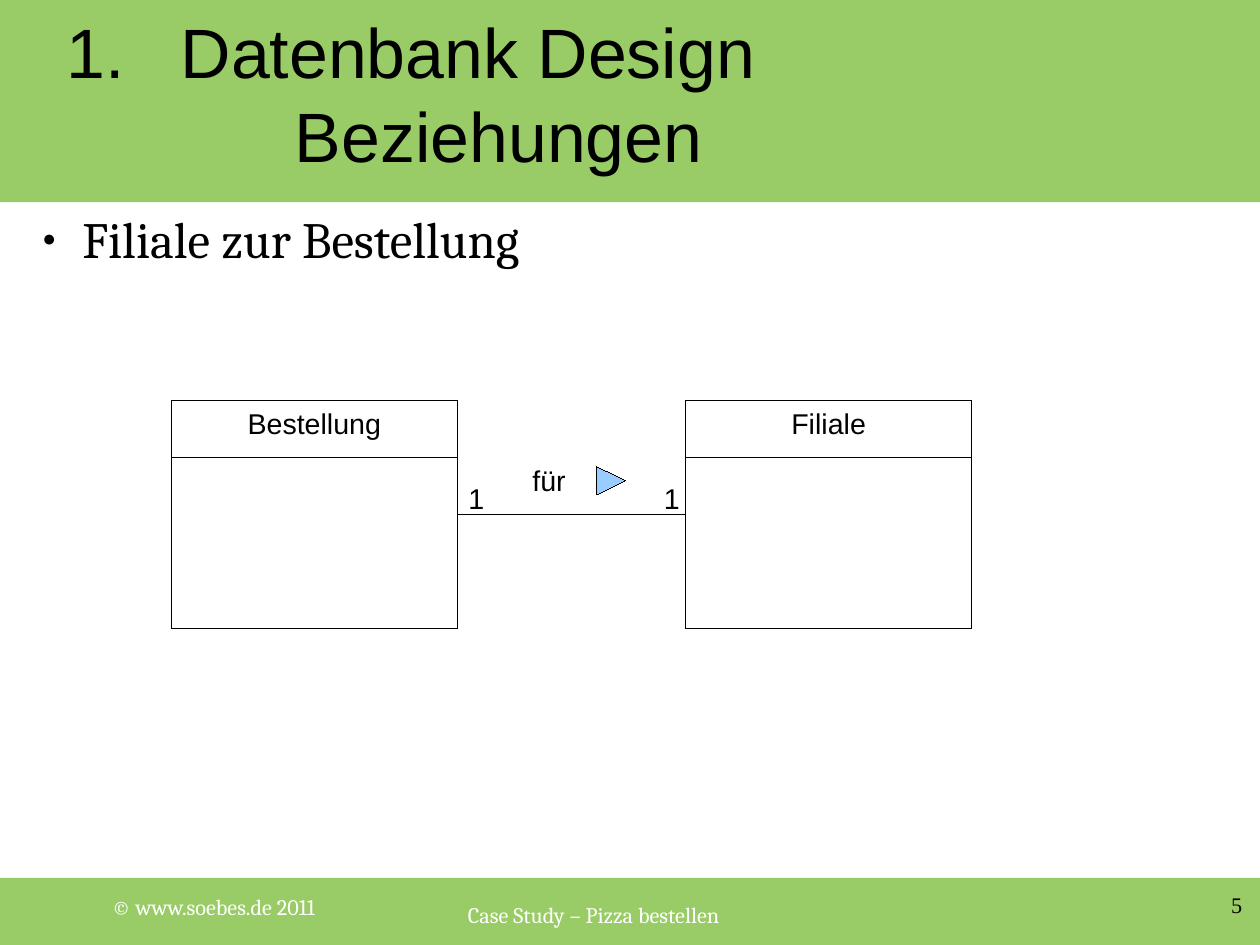
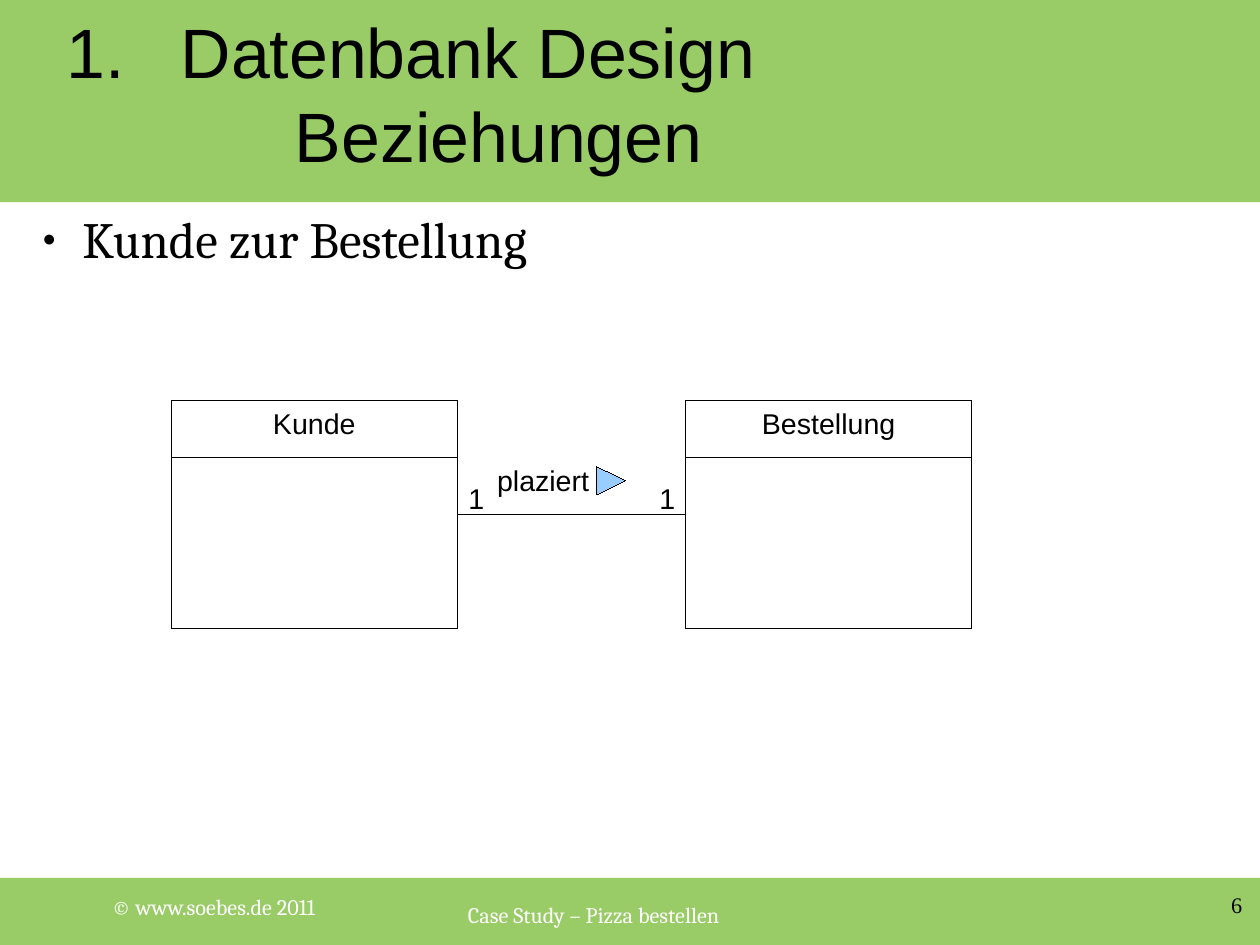
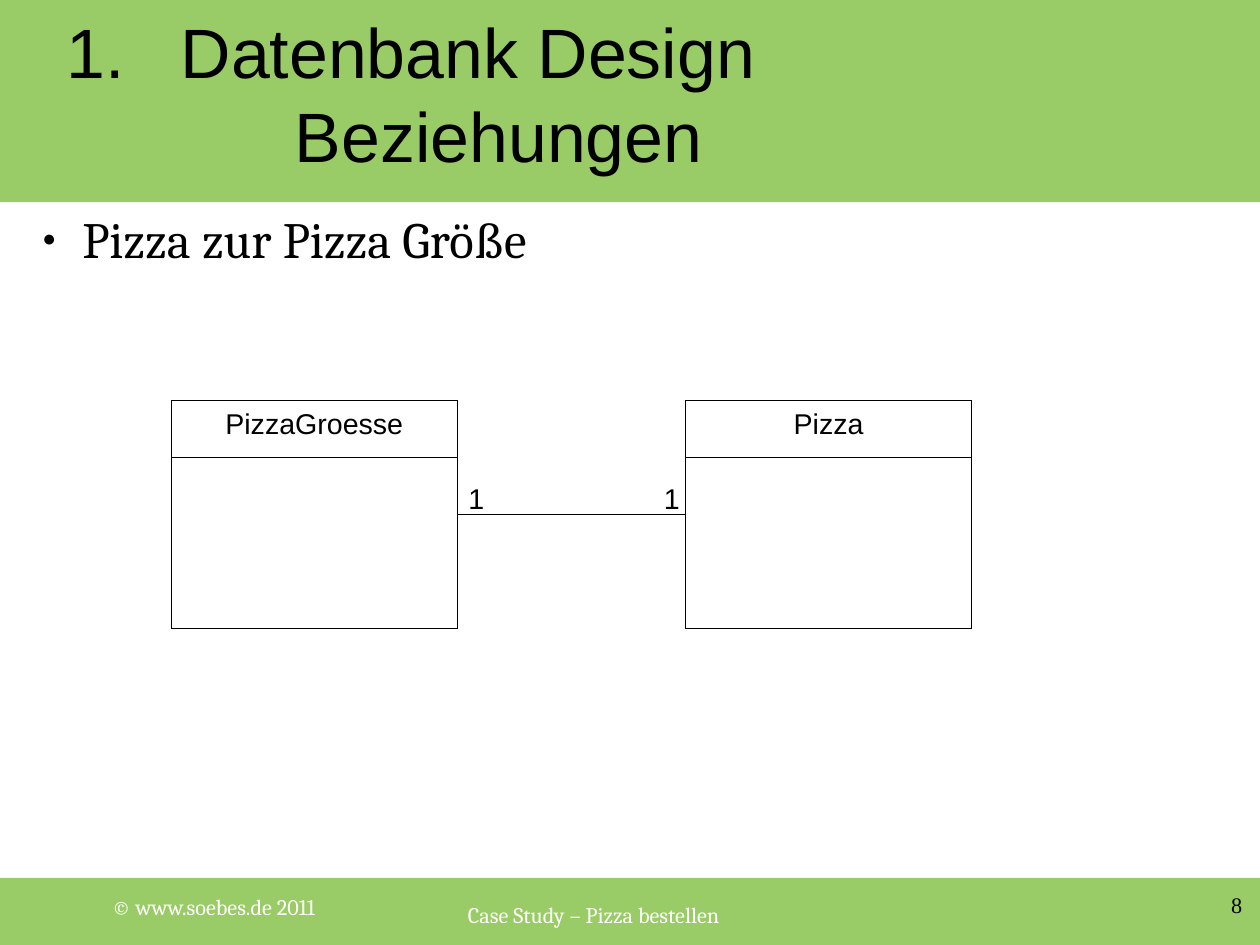
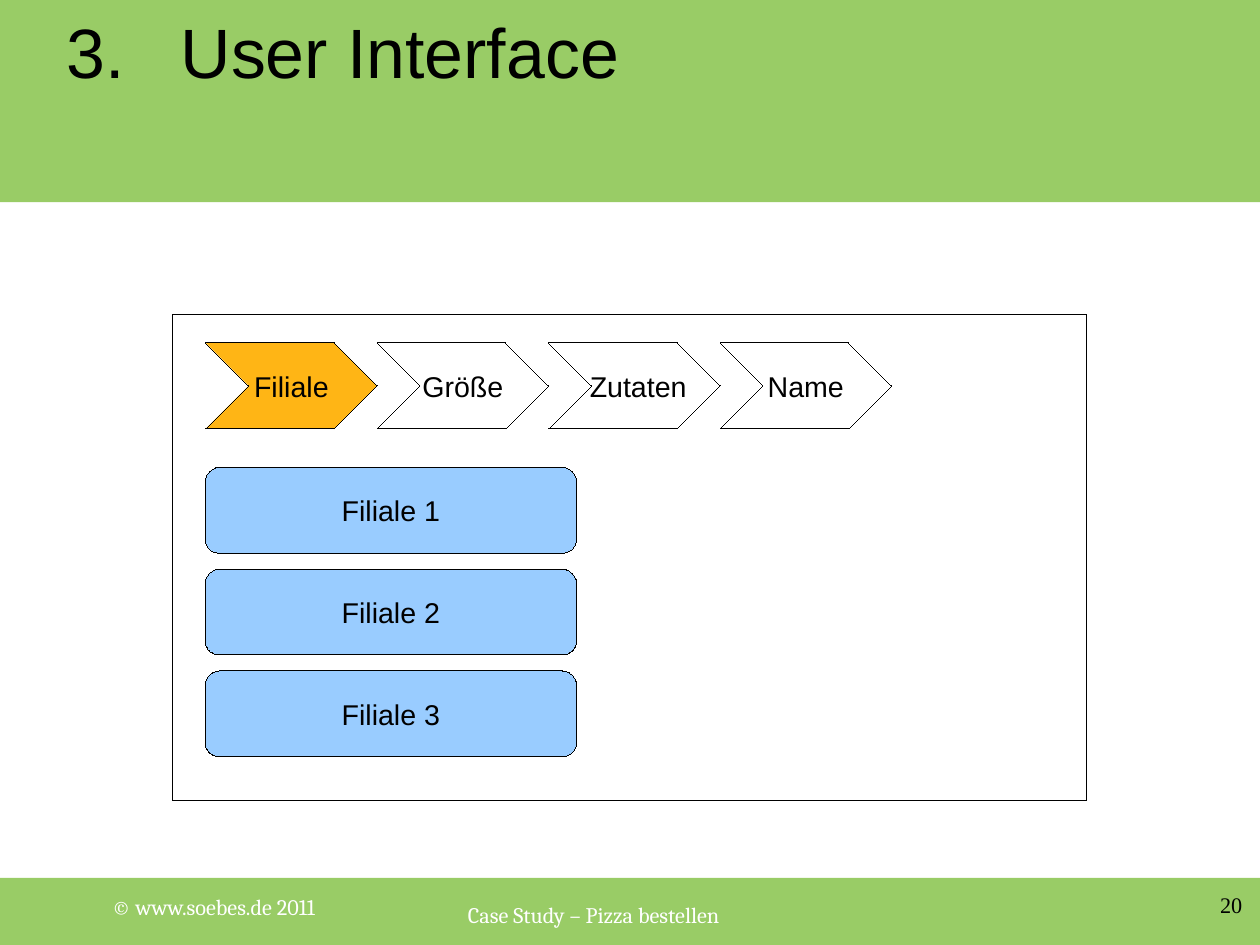
from lxml import etree
from pptx import Presentation
from pptx.dml.color import RGBColor
from pptx.enum.shapes import MSO_CONNECTOR, MSO_SHAPE
from pptx.enum.text import MSO_ANCHOR, MSO_AUTO_SIZE, PP_ALIGN
from pptx.oxml.ns import qn
from pptx.util import Cm, Inches, Pt

RECT, ROUNDED = MSO_SHAPE.RECTANGLE, MSO_SHAPE.ROUNDED_RECTANGLE
CHEVRON, TRIANGLE = MSO_SHAPE.CHEVRON, MSO_SHAPE.ISOSCELES_TRIANGLE
STRAIGHT = MSO_CONNECTOR.STRAIGHT
LEFT, CENTER, RIGHT = PP_ALIGN.LEFT, PP_ALIGN.CENTER, PP_ALIGN.RIGHT
TOP, MIDDLE = MSO_ANCHOR.TOP, MSO_ANCHOR.MIDDLE

CELL = Inches(0.25)
HAIRLINE = Pt(0.01)
BLACK, WHITE = "000000", "FFFFFF"
GREEN, BLUE, ORANGE = "99CC66", "99CCFF", "FFB515"
rgb = RGBColor.from_string


def box(s, kind, col, row, cols, rows, fill=None, line=None):
    area = [int(n * CELL) for n in (col, row, cols, rows)]
    if kind is None:
        return s.shapes.add_textbox(*area)
    sp = s.shapes.add_shape(kind, *area)
    sp.shadow.inherit = False
    if fill:
        sp.fill.solid()
        sp.fill.fore_color.rgb = rgb(fill)
    else:
        sp.fill.background()
    if line:
        sp.line.color.rgb = rgb(line)
        sp.line.width = HAIRLINE
    else:
        sp.line.fill.background()
    return sp


def write(sp, text, size=18, font="Arial", color=BLACK, align=LEFT,
          anchor=TOP, inset=True, wrap=True):
    tf = sp.text_frame
    tf.auto_size = MSO_AUTO_SIZE.NONE
    tf.word_wrap = wrap
    tf.vertical_anchor = anchor
    if not inset:
        tf.margin_left = tf.margin_right = tf.margin_top = tf.margin_bottom = 0
    p = tf.paragraphs[0]
    p.alignment = align
    for i, line in enumerate(text.split("\n")):
        if i:
            p.add_line_break()
        r = p.add_run()
        r.text = line
        r.font.size = Pt(size)
        r.font.name = font
        r.font.color.rgb = rgb(color)
    return p


prs = Presentation()
prs.slide_width, prs.slide_height = Cm(28), Cm(21)
COLS, ROWS = prs.slide_width / CELL, prs.slide_height / CELL
content, title_only = prs.slide_layouts[1], prs.slide_layouts[5]

RELATIONS = "1.\tDatenbank Design\n\t\tBeziehungen"
pages = [
    (content, RELATIONS, "5"),
    (content, RELATIONS, "6"),
    (content, RELATIONS, "8"),
    (title_only, "3.\tUser Interface\n", "20"),
]
slides = [prs.slides.add_slide(layout) for layout, title, number in pages]

s = slides[0]
top_band = box(s, RECT, 0, 0, COLS, 7.08, GREEN)
bottom_band = box(s, RECT, 0, 30.72, COLS, ROWS - 30.72, GREEN)
owner = box(s, None, 3.52, 31.08, 9.32, 1.4)
p = write(owner, "© www.soebes.de 2011", 14, "Cambria", WHITE, anchor=MIDDLE)
p.line_spacing = 0.96
topic = box(s, None, 10.4, 31.16, 20.76, 1.28)
p = write(topic, "Case Study – Pizza bestellen", 14, "Cambria", WHITE, CENTER)
p.line_spacing = 1.19
for i, sp in enumerate((top_band, bottom_band, owner, topic)):
    sp.element.xpath(".//p:cNvPr")[0].set("id", str(20 + i))
    prs.slide_master.shapes.element.insert(2 + i, sp.element)

for s, (layout, title, number) in zip(slides, pages):
    sp = s.shapes.title
    sp.left, sp.top, sp.width, sp.height = (
        int(n * CELL) for n in (2.32, 0.48, 39.68, 5.52))
    p = write(sp, title, 44, anchor=MIDDLE, inset=False)
    tabs = etree.SubElement(p._p.get_or_add_pPr(), qn("a:tabLst"))
    for stop in (1, 2):
        tab = etree.SubElement(tabs, qn("a:tab"))
        tab.set("pos", str(Inches(stop)))
        tab.set("algn", "l")
    sp = box(s, None, 33.2, 31.2, 10.28, 1.08)
    write(sp, number, 14, "Times New Roman", align=RIGHT, inset=False)

diagrams = [
    ("Filiale zur Bestellung", "Bestellung", "Filiale", "für", 18.24, 22.84),
    ("Kunde zur Bestellung", "Kunde", "Bestellung", "plaziert", 17, 22.68),
    ("Pizza zur Pizza Größe", "PizzaGroesse", "Pizza", None, None, 22.84),
]
for s, (topic, source, target, verb, verb_col, target_col) in zip(slides, diagrams):
    sp = s.placeholders[1]
    sp.left, sp.top, sp.width, sp.height = (
        int(n * CELL) for n in (1, 7.28, 42, 21.84))
    p = write(sp, topic, 32, "Cambria", inset=False)
    pPr = p._p.get_or_add_pPr()
    pPr.set("marL", str(Inches(0.47)))
    pPr.set("indent", str(Inches(-0.35)))
    color = etree.SubElement(pPr, qn("a:buClr"))
    etree.SubElement(color, qn("a:srgbClr")).set("val", BLACK)
    etree.SubElement(pPr, qn("a:buSzPct")).set("val", "45000")
    etree.SubElement(pPr, qn("a:buChar")).set("char", "●")
    p.space_before, p.space_after = Pt(0), Pt(14.2)

    entities, lines = [], []
    for col, name in ((6, source), (24, target)):
        entities.append(box(s, RECT, col, 14, 10, 8, line=BLACK))
        lines.append(s.shapes.add_connector(
            STRAIGHT, col * CELL, 16 * CELL, (col + 10) * CELL, 16 * CELL))
        write(box(s, None, col, 14, 10, 1.52), name, align=CENTER)
    link = s.shapes.add_connector(STRAIGHT, 16 * CELL, 18 * CELL, 24 * CELL, 18 * CELL)
    link.begin_connect(entities[0], 3)
    link.end_connect(entities[1], 1)
    for cxn in lines + [link]:
        cxn.line.color.rgb = rgb(BLACK)
        cxn.line.width = HAIRLINE
        etree.SubElement(cxn.element.spPr, qn("a:effectLst"))
    for col in (16, target_col):
        write(box(s, None, col, 16.64, 1.2, 1.52), "1")
    if verb:
        write(box(s, None, verb_col, 16, 21.2 - verb_col, 1.52), verb)
        box(s, TRIANGLE, 20.88, 16.32, 1, 1, BLUE, BLACK).rotation = 90

s = slides[3]
box(s, RECT, 6.04, 11, 32, 17, line=BLACK)
for i, step in enumerate(("Filiale", "Größe", " Zutaten", "Name")):
    sp = box(s, CHEVRON, 7.2 + 6 * i, 12, 6, 3, None if i else ORANGE, BLACK)
    write(sp, step, align=CENTER, anchor=MIDDLE, inset=False, wrap=False)
for i in range(3):
    sp = box(s, ROUNDED, 7.18, 16.36 + 3.56 * i, 13, 3, BLUE, BLACK)
    write(sp, f"Filiale {i + 1}", align=CENTER, anchor=MIDDLE)

prs.save("out.pptx")
